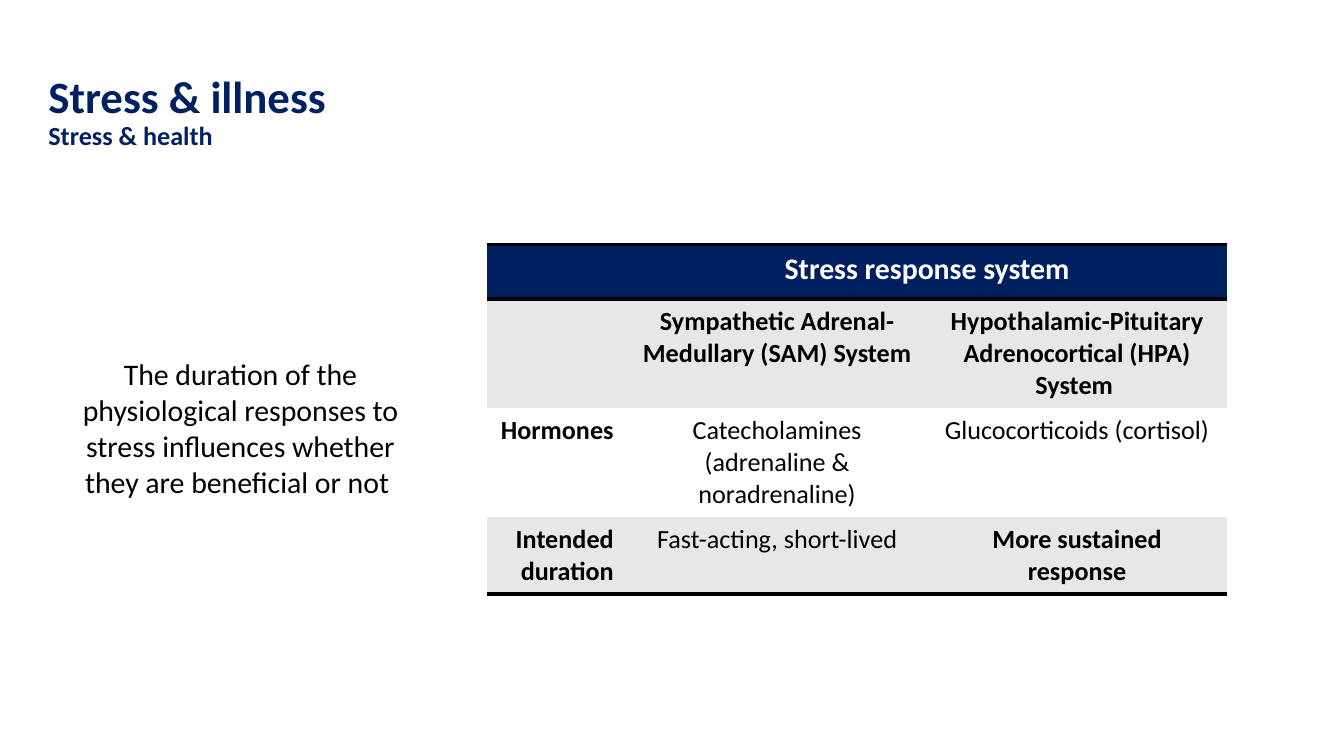
import pptx
import pptx.util
import pptx.dml.color
import pptx.enum.text
import pptx.oxml
import pptx.oxml.ns

COLORS = {"navy": "002060", "band": "E7E7E7", "white": "FFFFFF", "black": "000000"}
FONT = "Calibri"
ALIGN = pptx.enum.text.PP_ALIGN
SLIDE_WIDTH = 10
SLIDE_HEIGHT = SLIDE_WIDTH * 9 / 16
TITLE_BOX = (0.26, 0.41, 8.05, 0.86)
MESSAGE_BOX = (0.43, 2.6, 2.72, 3.5)
TABLE_BOX = (3.62, 1.82, 5.51, 2.13)
COLUMN_SHARES = (0.19, 0.405, 0.405)
ROW_HEIGHTS = (0.29, 0.64, 0.64, 0.56)
RULED_EDGES = (0, 1, 4)
ROWS = [
    ("", "Stress response system", ""),
    ("", "Sympathetic Adrenal-Medullary (SAM) System",
     "Hypothalamic-Pituitary Adrenocortical (HPA) System "),
    ("Hormones", "Catecholamines (adrenaline & noradrenaline)",
     "Glucocorticoids (cortisol)"),
    ("Intended duration", "Fast-acting, short-lived", "More sustained response"),
]
PLAIN_CELLS = {(2, 1), (2, 2), (3, 1)}


def rgb(name):
    """Return a named colour."""
    return pptx.dml.color.RGBColor.from_string(COLORS[name])


def add_run(paragraph, text, size, color, bold=False):
    """Add one formatted run."""
    run = paragraph.add_run()
    run.text = text
    run.font.name = FONT
    run.font.size = pptx.util.Pt(size)
    run.font.bold = bold
    run.font.color.rgb = rgb(color)


def place(placeholder, box, anchor):
    """Move a placeholder to its box and return its first paragraph."""
    left, top, width, height = map(pptx.util.Inches, box)
    placeholder.left, placeholder.top = left, top
    placeholder.width, placeholder.height = width, height
    frame = placeholder.text_frame
    frame.word_wrap = True
    frame.auto_size = pptx.enum.text.MSO_AUTO_SIZE.NONE
    frame.vertical_anchor = anchor
    return frame.paragraphs[0]


def add_heading(slide, box):
    """Fill the title with its two lines."""
    heading = place(slide.shapes.title, box, pptx.enum.text.MSO_ANCHOR.MIDDLE)
    heading.alignment = ALIGN.LEFT
    heading.line_spacing = 0.9
    add_run(heading, "Stress & illness", 24, "navy", True)
    heading.add_line_break()
    add_run(heading, "Stress & health", 14, "navy", True)


def add_message(slide, box):
    """Fill the body with the centred message."""
    message = place(slide.placeholders[1], box, pptx.enum.text.MSO_ANCHOR.TOP)
    properties = message._p.get_or_add_pPr()
    properties.set("marL", "0")
    properties.set("indent", "0")
    properties.append(pptx.oxml.parse_xml(f"<a:buNone {pptx.oxml.ns.nsdecls('a')}/>"))
    message.alignment = ALIGN.CENTER
    message.space_before = pptx.util.Pt(0)
    message.space_after = pptx.util.Pt(8)
    add_run(message, "The duration of the physiological responses to stress "
            "influences whether they are beneficial or not ", 16, "black")


def set_borders(cell, row):
    """Rule the chosen row edges and clear the other cell borders."""
    ruled = {"lnT": row in RULED_EDGES, "lnB": row + 1 in RULED_EDGES}
    for side in ("lnL", "lnR", "lnT", "lnB"):
        paint = "<a:noFill/>"
        if ruled.get(side):
            paint = f'<a:solidFill><a:srgbClr val="{COLORS["black"]}"/></a:solidFill>'
        cell._tc.get_or_add_tcPr().append(pptx.oxml.parse_xml(
            f'<a:{side} {pptx.oxml.ns.nsdecls("a")} w="{pptx.util.Pt(2)}">{paint}</a:{side}>'))


def add_response_table(slide, box):
    """Draw the table comparing the stress response systems."""
    frame = slide.shapes.add_table(len(ROWS), len(COLUMN_SHARES),
                                   *map(pptx.util.Inches, box))
    table = frame.table
    table.first_row = table.horz_banding = False
    for column, share in zip(table.columns, COLUMN_SHARES):
        column.width = pptx.util.Inches(box[2] * share)
    for row, height in enumerate(ROW_HEIGHTS):
        table.rows[row].height = pptx.util.Inches(height)
        fill = "navy" if row == 0 else ("band" if row % 2 else "white")
        for column, text in enumerate(ROWS[row]):
            cell = table.cell(row, column)
            set_borders(cell, row)
            cell.fill.solid()
            cell.fill.fore_color.rgb = rgb(fill)
            if text:
                paragraph = cell.text_frame.paragraphs[0]
                paragraph.alignment = ALIGN.CENTER if column else ALIGN.RIGHT
                size, color = (14, "black") if row else (16, "white")
                add_run(paragraph, text, size, color, (row, column) not in PLAIN_CELLS)
    table.cell(0, 1).merge(table.cell(0, 2))


def main():
    """Build and save the slide."""
    deck = pptx.Presentation()
    deck.slide_width = pptx.util.Inches(SLIDE_WIDTH)
    deck.slide_height = pptx.util.Inches(SLIDE_HEIGHT)
    slide = deck.slides.add_slide(deck.slide_layouts[1])
    add_heading(slide, TITLE_BOX)
    add_response_table(slide, TABLE_BOX)
    add_message(slide, MESSAGE_BOX)
    deck.save("out.pptx")


if __name__ == "__main__":
    main()
